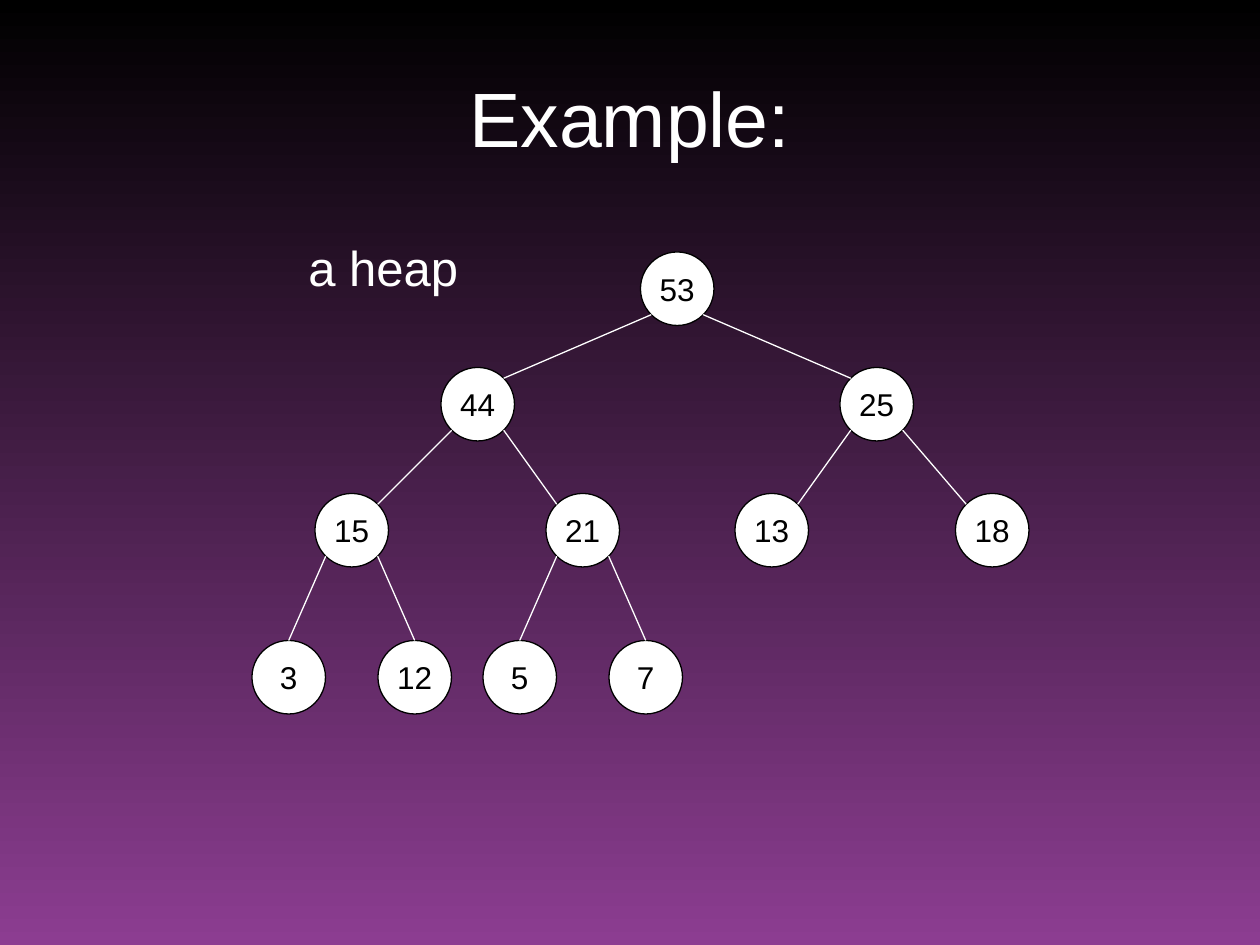
from dataclasses import dataclass
from math import sqrt

from lxml import etree
from pptx import Presentation
from pptx import util as u
from pptx.dml.color import RGBColor
from pptx.enum import shapes, text
from pptx.oxml.ns import qn


@dataclass(frozen=True)
class Theme:
    font: str = "Arial"
    light: RGBColor = RGBColor(0xFF, 0xFF, 0xFF)
    dark: RGBColor = RGBColor(0, 0, 0)
    purple: RGBColor = RGBColor(0x8C, 0x3D, 0x91)
    title_size: int = 44
    caption_size: int = 28
    key_size: int = 18
    line_width: float = 0.75


class HeapSlide:
    def __init__(self, slide, theme):
        self.slide = slide
        self.theme = theme

    def background(self):
        fill = self.slide.background.fill
        fill.gradient()
        fill.gradient_angle = 270
        for stop, color in zip(fill.gradient_stops, (self.theme.dark, self.theme.purple)):
            stop.color.rgb = color

    def set_words(self, frame, words, size, color, anchor):
        frame.text = words
        frame.vertical_anchor = anchor
        paragraph = frame.paragraphs[0]
        paragraph.alignment = text.PP_ALIGN.CENTER
        font = paragraph.runs[0].font
        font.name = self.theme.font
        font.size = u.Pt(size)
        font.color.rgb = color

    def label(self, words, left, top, width, height, size, anchor):
        frame = self.slide.shapes.add_textbox(
            u.Pt(left), u.Pt(top), u.Pt(width), u.Pt(height)).text_frame
        frame.word_wrap = True
        self.set_words(frame, words, size, self.theme.light, anchor)

    def node(self, key, left, top, diameter):
        circle = self.slide.shapes.add_shape(
            shapes.MSO_SHAPE.FLOWCHART_CONNECTOR,
            u.Pt(left), u.Pt(top), u.Pt(diameter), u.Pt(diameter))
        circle.shadow.inherit = False
        circle.fill.solid()
        circle.fill.fore_color.rgb = self.theme.light
        circle.line.color.rgb = self.theme.dark
        circle.line.width = u.Pt(self.theme.line_width)
        circle.text_frame.word_wrap = False
        self.set_words(circle.text_frame, str(key), self.theme.key_size,
                       self.theme.dark, text.MSO_ANCHOR.MIDDLE)

    def edge(self, start, end):
        branch = self.slide.shapes.add_connector(
            shapes.MSO_CONNECTOR.STRAIGHT, *(u.Pt(value) for value in (*start, *end)))
        branch.line.color.rgb = self.theme.light
        branch.line.width = u.Pt(self.theme.line_width)
        etree.SubElement(branch._element.spPr, qn("a:effectLst"))


# Heap in array order: key and left edge; the children of i are 2i + 1 and 2i + 2
HEAP = [(53, 366),
        (44, 252), (25, 480),
        (15, 180), (21, 312), (13, 420), (18, 546),
        (3, 144), (12, 216), (5, 276), (7, 348)]
LEVEL_TOPS = [144, 210, 282, 366]
DIAMETER = 42
INSET = DIAMETER * (1 - sqrt(0.5)) / 2  # from the bounding box to a diagonal point


def level_of(index):
    return (index + 1).bit_length() - 1


def branch_ends(index):
    """Points where the branch leaves the parent and meets the child."""
    parent = (index - 1) // 2
    parent_left, child_left = HEAP[parent][1], HEAP[index][1]
    near, far = INSET, DIAMETER - INSET
    is_left_child = index % 2 == 1
    out_x, in_x = (near, far) if is_left_child else (far, near)
    in_y = INSET
    if level_of(index) == len(LEVEL_TOPS) - 1:  # the last level is met at the top
        in_x, in_y = DIAMETER / 2, 0
    return ((parent_left + out_x, LEVEL_TOPS[level_of(parent)] + far),
            (child_left + in_x, LEVEL_TOPS[level_of(index)] + in_y))


def main():
    presentation = Presentation()
    presentation.slide_width = u.Pt(720)
    presentation.slide_height = u.Pt(540)
    theme = Theme()
    page = HeapSlide(presentation.slides.add_slide(presentation.slide_layouts[6]), theme)

    # Background and title
    page.background()
    page.label("Example:", 36, 21.6, 648, 90, theme.title_size, text.MSO_ANCHOR.MIDDLE)

    # Tree
    for index, (key, left) in enumerate(HEAP):
        page.node(key, left, LEVEL_TOPS[level_of(index)], DIAMETER)
        if index:
            page.edge(*branch_ends(index))

    # Caption
    page.label("a heap", 144, 132, 150, 41, theme.caption_size, text.MSO_ANCHOR.TOP)

    presentation.save("out.pptx")


if __name__ == "__main__":
    main()
